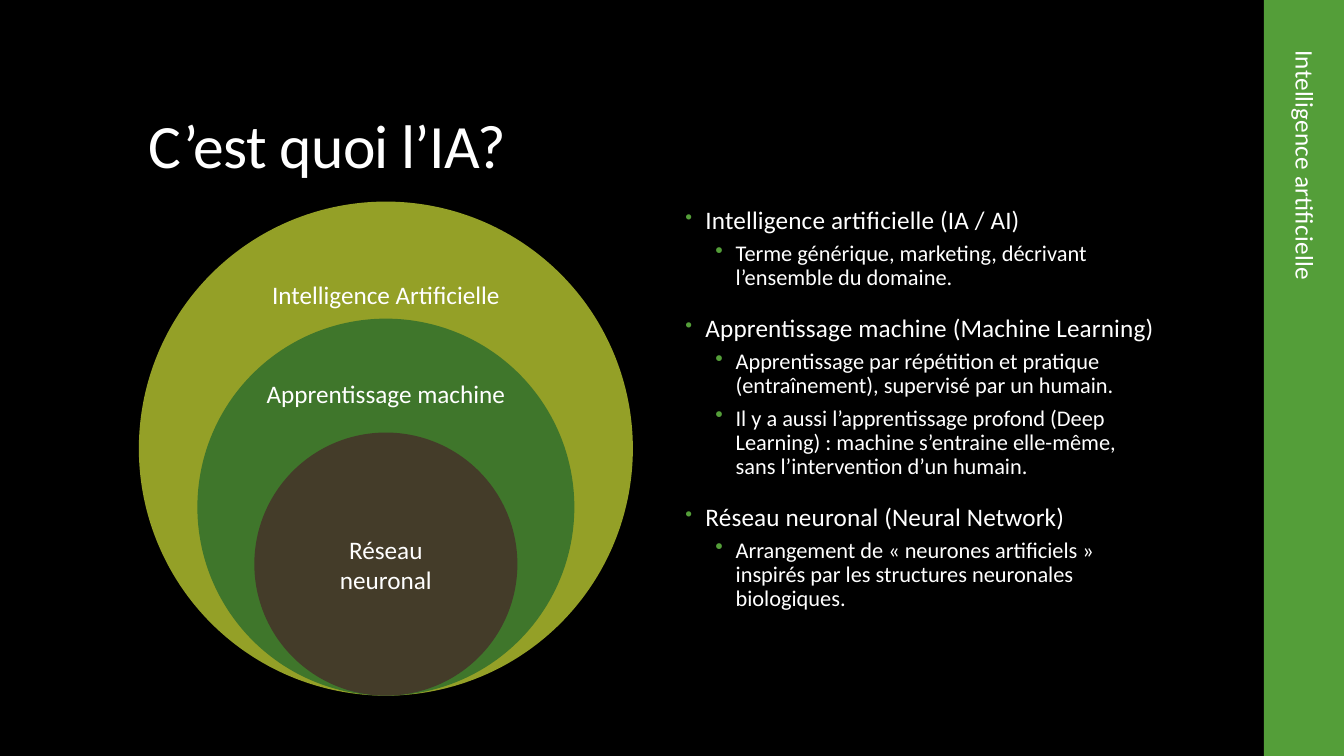
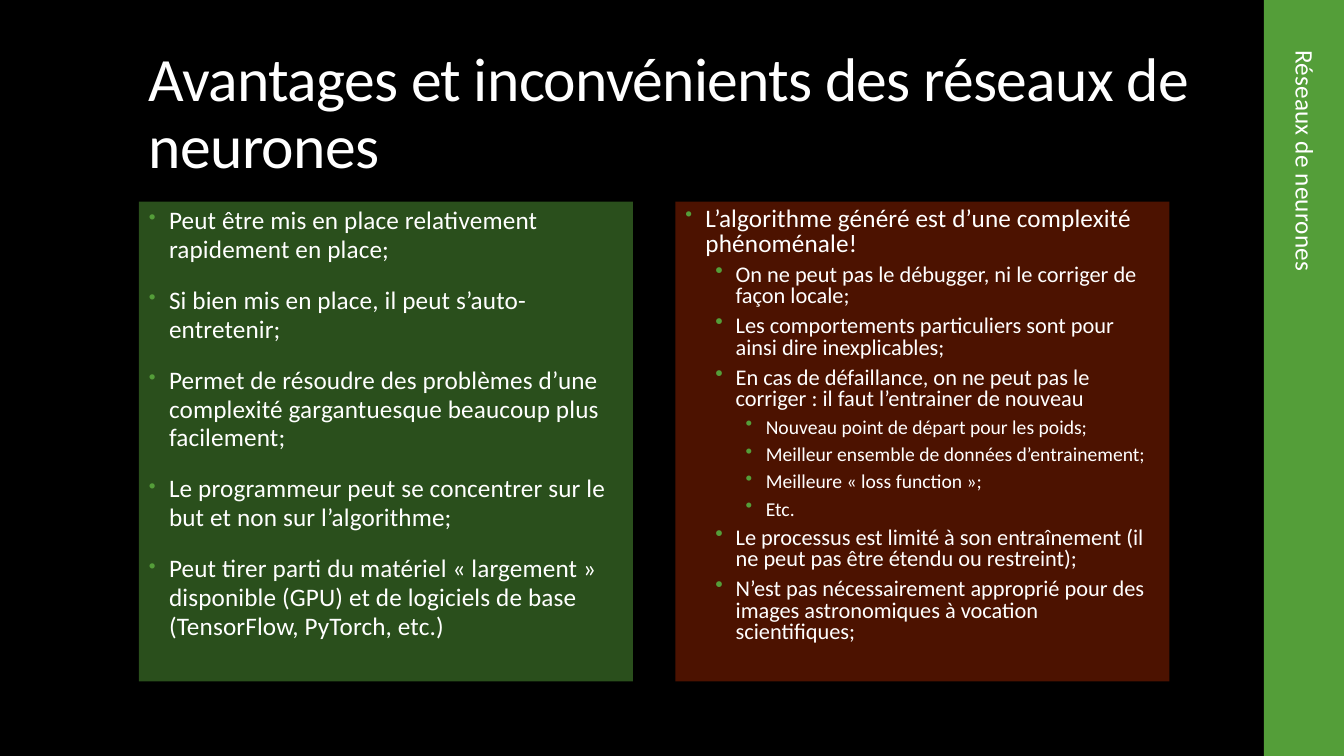
from lxml import etree
from pptx import Presentation
from pptx import util as u
from pptx.dml.color import RGBColor
from pptx.enum import shapes, text
from pptx.oxml import ns

FONT = "Calibri"
BLACK, WHITE, GREEN = "000000", "FFFFFF", "549E39"
OLIVE, FOREST, BROWN = "94A027", "3F762B", "443C29"
PRO_FILL, CON_FILL = "2A4F1C", "4C1200"

LEFT, RIGHT, BODY_TOP = 3.5, 17.02, 5.08
PANEL_WIDTH, PANEL_HEIGHT = 12.45, 12.09
SLIDE_WIDTH, SLIDE_HEIGHT = 33.87, 19.05
BAND_LEFT = 31.85
INDENT_STEP, HANGING = 0.76, 0.51

STYLES = {
    "title": dict(size=44, spacing=-50, line=0.9),
    "section": dict(size=18, spacing=10, line=0.95),
    "circle": dict(size=18, spacing=0, line=1.0),
    0: dict(size=18, spacing=10, line=0.95, before=14, after=2, bullet=80),
    1: dict(size=16, spacing=0, line=0.9, before=3, after=3, bullet=100),
    2: dict(size=14, spacing=0, line=0.9, before=3, after=3, bullet=100),
}


def paint(color_format, value):
    color_format.rgb = RGBColor.from_string(value)


def write(shape, entries, anchor="TOP", alignment="LEFT", tighten=0):
    frame = shape.text_frame
    frame.word_wrap = True
    frame.auto_size = text.MSO_AUTO_SIZE.NONE
    frame.vertical_anchor = text.MSO_ANCHOR[anchor]
    for index, (kind, words) in enumerate(entries):
        style = STYLES[kind]
        paragraph = frame.add_paragraph() if index else frame.paragraphs[0]
        paragraph.alignment = text.PP_ALIGN[alignment]
        paragraph.line_spacing = round(style["line"] - tighten, 2)
        if "bullet" in style:
            paragraph.level = kind
            paragraph.space_before = u.Pt(style["before"] if index else 0)
            paragraph.space_after = u.Pt(style["after"])
            properties = paragraph._p.get_or_add_pPr()
            properties.set("marL", str(u.Cm(HANGING + kind * INDENT_STEP)))
            properties.set("indent", str(-u.Cm(HANGING)))
            color = etree.SubElement(properties, ns.qn("a:buClr"))
            etree.SubElement(color, ns.qn("a:srgbClr"), val=GREEN)
            etree.SubElement(properties, ns.qn("a:buSzPct"), val=str(style["bullet"] * 1000))
            etree.SubElement(properties, ns.qn("a:buChar"), char="•")
        run = paragraph.add_run()
        run.text = words
        run.font.name = FONT
        run.font.size = u.Pt(style["size"])
        paint(run.font.color, WHITE)
        run._r.get_or_add_rPr().set("spc", str(style["spacing"]))


definitions = [
    (0, "Intelligence artificielle (IA / AI)"),
    (1, "Terme générique, marketing, décrivant l’ensemble du domaine."),
    (0, "Apprentissage machine (Machine Learning)"),
    (1, "Apprentissage par répétition et pratique (entraînement), supervisé par un humain."),
    (1, "Il y a aussi l’apprentissage profond (Deep Learning) : machine s’entraine elle-même, "
        "sans l’intervention d’un humain."),
    (0, "Réseau neuronal (Neural Network)"),
    (1, "Arrangement de « neurones artificiels » inspirés par les structures neuronales biologiques."),
]
advantages = [
    (0, "Peut être mis en place relativement rapidement en place;"),
    (0, "Si bien mis en place, il peut s’auto-entretenir;"),
    (0, "Permet de résoudre des problèmes d’une complexité gargantuesque beaucoup plus facilement;"),
    (0, "Le programmeur peut se concentrer sur le but et non sur l’algorithme;"),
    (0, "Peut tirer parti du matériel « largement » disponible (GPU) et de logiciels de base "
        "(TensorFlow, PyTorch, etc.)"),
]
drawbacks = [
    (0, "L’algorithme généré est d’une complexité phénoménale!"),
    (1, "On ne peut pas le débugger, ni le corriger de façon locale;"),
    (1, "Les comportements particuliers sont pour ainsi dire inexplicables;"),
    (1, "En cas de défaillance, on ne peut pas le corriger : il faut l’entrainer de nouveau"),
    (2, "Nouveau point de départ pour les poids;"),
    (2, "Meilleur ensemble de données d’entrainement;"),
    (2, "Meilleure « loss function »;"),
    (2, "Etc."),
    (1, "Le processus est limité à son entraînement (il ne peut pas être étendu ou restreint);"),
    (1, "N’est pas nécessairement approprié pour des images astronomiques à vocation scientifiques;"),
]
circles = [
    ("Intelligence Artificielle", 12.45, OLIVE, "TOP"),
    ("Apprentissage machine", 9.5, FOREST, "TOP"),
    ("Réseau neuronal", 6.63, BROWN, "MIDDLE"),
]
pages = [
    ("C’est quoi l’IA?", "Intelligence artificielle",
     [(RIGHT, definitions, None, 0)], circles),
    ("Avantages et inconvénients des réseaux de neurones", "Réseaux de neurones",
     [(LEFT, advantages, PRO_FILL, 0), (RIGHT, drawbacks, CON_FILL, 0.1)], []),
]

presentation = Presentation()
presentation.slide_width = u.Cm(SLIDE_WIDTH)
presentation.slide_height = u.Cm(SLIDE_HEIGHT)
background = presentation.slide_master.background.fill
background.solid()
paint(background.fore_color, BLACK)

for title, section, panels, page_circles in pages:
    slide = presentation.slides.add_slide(presentation.slide_layouts[6])

    band = slide.shapes.add_shape(
        shapes.MSO_SHAPE.RECTANGLE, u.Cm(BAND_LEFT), 0,
        u.Cm(SLIDE_WIDTH - BAND_LEFT), u.Cm(SLIDE_HEIGHT))
    band.shadow.inherit = False
    band.fill.solid()
    paint(band.fill.fore_color, GREEN)
    band.line.fill.background()

    title_box = slide.shapes.add_textbox(u.Cm(LEFT), u.Cm(1.02), u.Cm(26.92), u.Cm(3.68))
    write(title_box, [("title", title)], anchor="BOTTOM")

    section_box = slide.shapes.add_textbox(u.Cm(24.79), u.Cm(8.08), u.Cm(16.15), u.Cm(2.03))
    section_box.rotation = 90
    write(section_box, [("section", section)], anchor="MIDDLE")

    for left, entries, fill, tighten in panels:
        panel = slide.shapes.add_textbox(
            u.Cm(left), u.Cm(BODY_TOP), u.Cm(PANEL_WIDTH), u.Cm(PANEL_HEIGHT))
        if fill:
            panel.fill.solid()
            paint(panel.fill.fore_color, fill)
        write(panel, entries, tighten=tighten)

    for label, diameter, fill, anchor in page_circles:
        outer = page_circles[0][1]
        circle = slide.shapes.add_shape(
            shapes.MSO_SHAPE.OVAL, u.Cm(LEFT + (outer - diameter) / 2),
            u.Cm(BODY_TOP + outer - diameter), u.Cm(diameter), u.Cm(diameter))
        circle.shadow.inherit = False
        circle.fill.solid()
        paint(circle.fill.fore_color, fill)
        circle.line.fill.background()
        write(circle, [("circle", label)], anchor=anchor, alignment="CENTER")

presentation.save("out.pptx")
